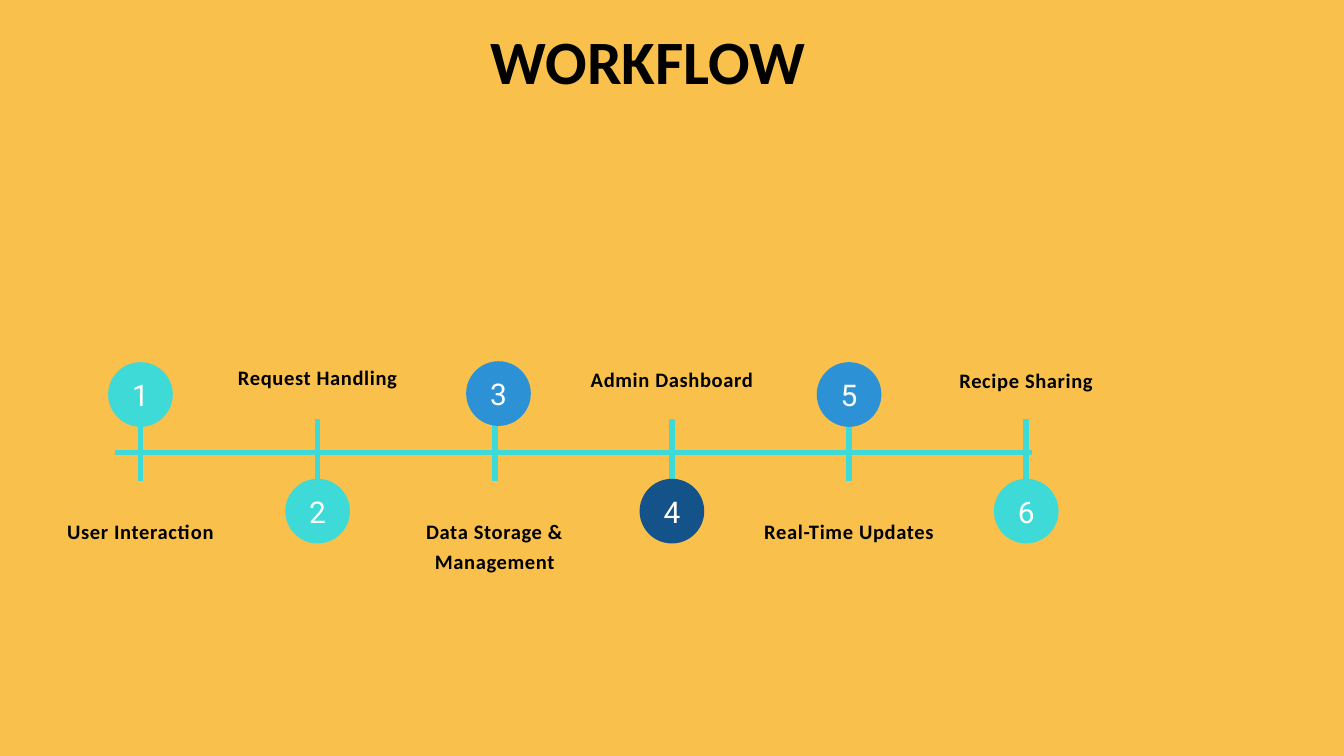
from lxml import etree
from pptx import Presentation
from pptx.dml.color import RGBColor
from pptx.enum.shapes import MSO_CONNECTOR as Connector, MSO_SHAPE as Shape
from pptx.enum.text import MSO_ANCHOR as Anchor, MSO_AUTO_SIZE as AutoSize, PP_ALIGN as Align
from pptx.oxml.ns import qn
from pptx.util import Pt

AMBER = RGBColor(0xF9, 0xC1, 0x4C)
TURQUOISE = RGBColor(0x3E, 0xDA, 0xD8)
BLUE = RGBColor(0x2C, 0x92, 0xD5)
NAVY = RGBColor(0x13, 0x53, 0x8A)
BLACK = RGBColor(0, 0, 0)
WHITE = RGBColor(0xFF, 0xFF, 0xFF)

# label, label top, circle colour, circle shift (x, y); tops are relative to the timeline box
STEPS = [
    ("User Interaction", 164, TURQUOISE, (0, 0)),
    ("Request Handling", -0.5, TURQUOISE, (0, 0)),
    ("Data Storage & Management", 164, BLUE, (4, -1)),
    ("Admin Dashboard", 1.5, NAVY, (0, 0)),
    ("Real-Time Updates", 164, BLUE, (0, 0)),
    ("Recipe Sharing", 2.5, TURQUOISE, (0, 0)),
]


def format_paragraph(paragraph, name, size, color, bold=False, spacing=0):
    font = paragraph.font
    font.name, font.size, font.bold = name, Pt(size), bold
    font.color.rgb = color
    if spacing:
        paragraph._p.pPr.find(qn("a:defRPr")).set("spc", str(spacing))


def set_margins(frame, margin):
    frame.margin_left = frame.margin_right = Pt(margin)
    frame.margin_top = frame.margin_bottom = Pt(margin)


def add_line(slide, x1, y1, x2, y2):
    line = slide.shapes.add_connector(Connector.STRAIGHT, Pt(x1), Pt(y1), Pt(x2), Pt(y2))
    line.line.color.rgb = TURQUOISE
    line.line.width = Pt(6)
    etree.SubElement(line._element.spPr, qn("a:effectLst"))


def add_text(shapes, text, left, top, width, height, margin, line_spacing):
    box = shapes.add_textbox(Pt(left), Pt(top), Pt(width), Pt(height))
    frame = box.text_frame
    frame.word_wrap = True
    set_margins(frame, margin)
    paragraph = frame.paragraphs[0]
    paragraph.text = text
    paragraph.alignment = Align.CENTER
    paragraph.line_spacing = Pt(line_spacing)
    return frame


def add_label(slide, text, center, top):
    width = 211
    frame = add_text(slide.shapes, text, center - width / 2, top, width, 30, 0, 33)
    frame.auto_size = AutoSize.SHAPE_TO_FIT_TEXT
    format_paragraph(frame.paragraphs[0], "Calibri", 22, BLACK, True, 70)


def add_number(slide, number, center, top, color):
    diameter, width = 69.3, 56
    shapes = slide.shapes.add_group_shape().shapes
    circle = shapes.add_shape(Shape.OVAL, Pt(center - diameter / 2), Pt(top),
                              Pt(diameter), Pt(diameter))
    circle.shadow.inherit = False
    circle.fill.solid()
    circle.fill.fore_color.rgb = color
    circle.line.fill.background()
    frame = add_text(shapes, str(number), center - width / 2, top - 2, width, 64, 4, 48)
    frame.vertical_anchor = Anchor.MIDDLE
    format_paragraph(frame.paragraphs[0], "Roboto", 32, WHITE, False, 100)


def add_title(slide, left, top, width, height):
    title = slide.shapes.title
    title.left, title.top, title.width, title.height = Pt(left), Pt(top), Pt(width), Pt(height)
    frame = title.text_frame
    frame.word_wrap = True
    frame.auto_size = AutoSize.SHAPE_TO_FIT_TEXT
    frame.vertical_anchor = Anchor.TOP
    paragraph = frame.paragraphs[0]
    paragraph.text = "WORKFLOW"
    paragraph.alignment = Align.LEFT
    format_paragraph(paragraph, "Calibri", 66, BLACK, True)


def add_timeline(slide, left, top, width):
    first, pitch = left + 27.5, 189.8
    add_line(slide, left, top + 100, left + width, top + 100)
    centers = [first + pitch * index for index in range(len(STEPS))]
    for center in centers:
        add_line(slide, center, top + 130, center, top + 64)
    for index, (center, step) in enumerate(zip(centers, STEPS)):
        label, label_top, color, (shift_x, shift_y) = step
        circle_top = top + (3 if index % 2 == 0 else 128)
        add_label(slide, label, center, top + label_top)
        add_number(slide, index + 1, center + shift_x, circle_top + shift_y, color)


def main():
    presentation = Presentation()
    presentation.slide_width, presentation.slide_height = Pt(1440), Pt(810)
    slide = presentation.slides.add_slide(presentation.slide_layouts[5])
    slide.background.fill.solid()
    slide.background.fill.fore_color.rgb = AMBER
    add_timeline(slide, 123, 385, 983)
    add_title(slide, 518.4, 21, 403, 87)
    presentation.save("out.pptx")


if __name__ == "__main__":
    main()
